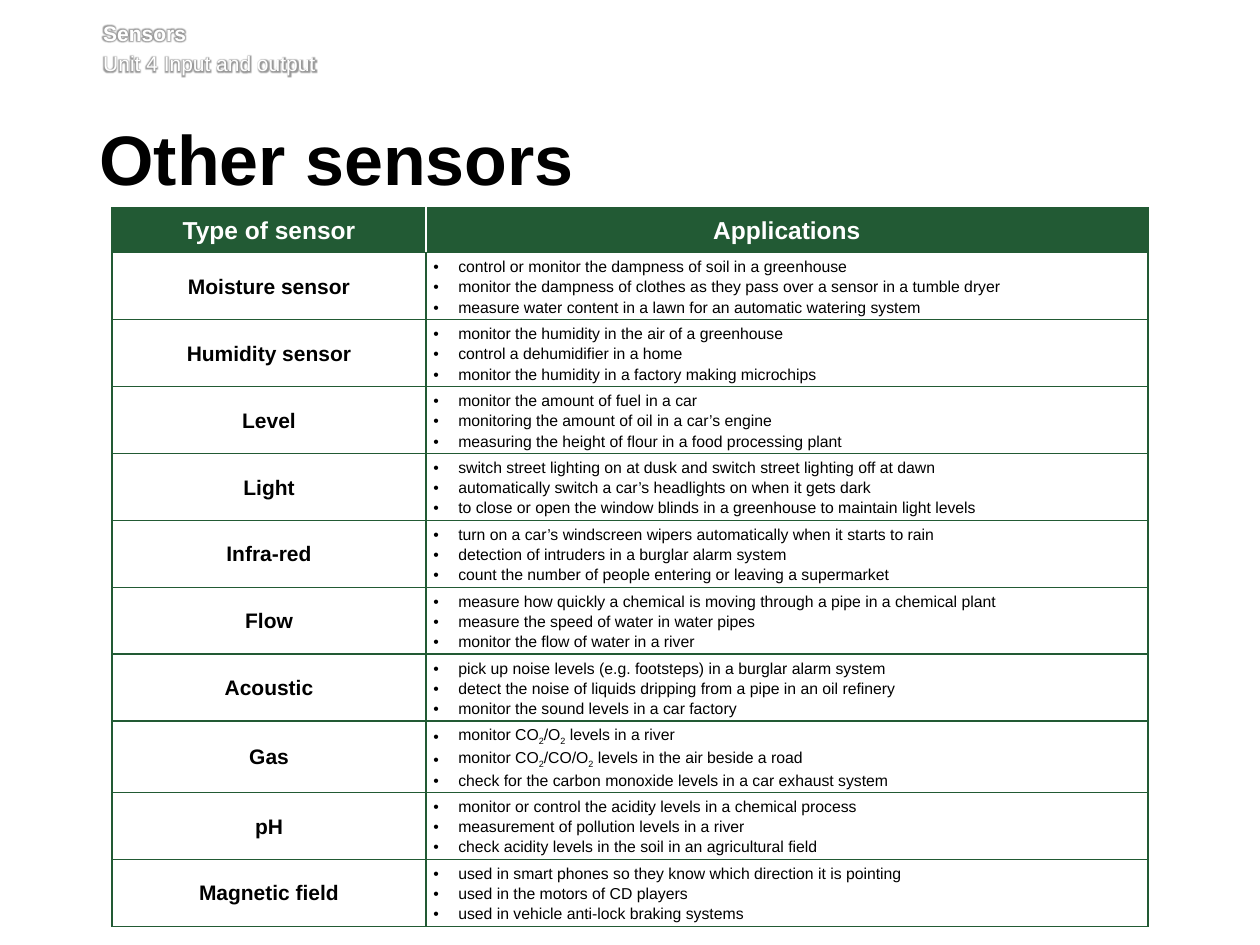
from dataclasses import dataclass
from itertools import groupby
from typing import NamedTuple

from lxml.etree import SubElement
from pptx import Presentation
from pptx.dml.color import RGBColor
from pptx.enum.text import MSO_ANCHOR as Anchor, PP_ALIGN as Align
from pptx.oxml.ns import qn
from pptx.util import Pt


@dataclass(frozen=True)
class Theme:
    font: str = "Arial"
    green: str = "225A34"
    white: str = "FFFFFF"
    black: str = "000000"
    title_size: float = 40
    heading_size: float = 14
    label_size: float = 12
    body_size: float = 9


class Box(NamedTuple):
    left: float
    top: float
    width: float
    height: float


class Style(NamedTuple):
    size: float
    color: str
    bold: bool = False
    glow: bool = False


class Sensor(NamedTuple):
    name: str
    uses: tuple[str, ...]


THEME = Theme()
UNIT_BOX = Box(59, 11.5, 635, 35.3)
TITLE_BOX = Box(56.9, 71.3, 615.6, 52.6)
TABLE_BOX = Box(64.1, 118.8, 591.9, 408.2)
COLUMN_WIDTHS = (179.3, 412.6)
HEADING_HEIGHT, ROW_HEIGHT = 25.6, 38.26
BULLET_INDENT = 14.2
SUBSCRIPT_TWO = "₂"

HEADINGS = ("Type of sensor", "Applications")
SENSORS = (
    Sensor("Moisture sensor", (
        "control or monitor the dampness of soil in a greenhouse",
        "monitor the dampness of clothes as they pass over a sensor in a tumble dryer",
        "measure water content in a lawn for an automatic watering system")),
    Sensor("Humidity sensor", (
        "monitor the humidity in the air of a greenhouse",
        "control a dehumidifier in a home",
        "monitor the humidity in a factory making microchips")),
    Sensor("Level", (
        "monitor the amount of fuel in a car",
        "monitoring the amount of oil in a car’s engine",
        "measuring the height of flour in a food processing plant")),
    Sensor("Light", (
        "switch street lighting on at dusk and switch street lighting off at dawn",
        "automatically switch a car’s headlights on when it gets dark",
        "to close or open the window blinds in a greenhouse to maintain light levels")),
    Sensor("Infra-red", (
        "turn on a car’s windscreen wipers automatically when it starts to rain",
        "detection of intruders in a burglar alarm system",
        "count the number of people entering or leaving a supermarket")),
    Sensor("Flow", (
        "measure how quickly a chemical is moving through a pipe in a chemical plant",
        "measure the speed of water in water pipes",
        "monitor the flow of water in a river")),
    Sensor("Acoustic", (
        "pick up noise levels (e.g. footsteps) in a burglar alarm system",
        "detect the noise of liquids dripping from a pipe in an oil refinery",
        "monitor the sound levels in a car factory")),
    Sensor("Gas", (
        "monitor CO₂/O₂ levels in a river",
        "monitor CO₂/CO/O₂ levels in the air beside a road",
        "check for the carbon monoxide levels in a car exhaust system")),
    Sensor("pH", (
        "monitor or control the acidity levels in a chemical process",
        "measurement of pollution levels in a river",
        "check acidity levels in the soil in an agricultural field")),
    Sensor("Magnetic field", (
        "used in smart phones so they know which direction it is pointing",
        "used in the motors of CD players",
        "used in vehicle anti-lock braking systems")),
)


def add_run(paragraph, text: str, style: Style, subscript: bool = False) -> None:
    run = paragraph.add_run()
    run.text = text
    font = run.font
    font.size, font.bold = Pt(style.size), style.bold
    font.color.rgb = RGBColor.from_string(style.color)
    properties = run._r.get_or_add_rPr()
    if style.glow:
        effects = SubElement(properties, qn("a:effectLst"))
        glow = SubElement(effects, qn("a:glow"), rad=str(Pt(4)))
        color = SubElement(glow, qn("a:srgbClr"), val=THEME.black)
        SubElement(color, qn("a:alpha"), val="40000")
    if subscript:
        properties.set("baseline", "-25000")
    font.name = THEME.font


def add_text(paragraph, text: str, style: Style) -> None:
    """Add the text run by run, lowering each subscript two."""
    for is_subscript, letters in groupby(text, lambda letter: letter == SUBSCRIPT_TWO):
        part = "".join(letters)
        add_run(paragraph, part.replace(SUBSCRIPT_TWO, "2"), style, is_subscript)


def add_bullet(paragraph) -> None:
    properties = paragraph._p.get_or_add_pPr()
    properties.set("marL", str(Pt(BULLET_INDENT)))
    properties.set("indent", str(-Pt(BULLET_INDENT)))
    SubElement(properties, qn("a:buFont"), typeface=THEME.font)
    SubElement(properties, qn("a:buChar"), char="•")


def add_text_frame(slide, box: Box, top_inset: float, right_inset: float):
    frame = slide.shapes.add_textbox(*map(Pt, box)).text_frame
    frame.word_wrap = True
    frame.margin_left, frame.margin_bottom = Pt(0), Pt(3.6)
    frame.margin_top, frame.margin_right = Pt(top_inset), Pt(right_inset)
    return frame


def format_cell(cell, fill: str | None = None, **side_colors: str) -> None:
    """Set insets, borders and fill; side_colors overrides green for L, R, T or B."""
    cell.vertical_anchor = Anchor.MIDDLE
    cell.margin_left = cell.margin_right = Pt(4.3)
    cell.margin_top = cell.margin_bottom = Pt(0)
    properties = cell._tc.get_or_add_tcPr()
    for side in "LRTB":
        line = SubElement(properties, qn(f"a:ln{side}"), w=str(Pt(1)))
        solid = SubElement(line, qn("a:solidFill"))
        SubElement(solid, qn("a:srgbClr"), val=side_colors.get(side, THEME.green))
    if fill:
        cell.fill.solid()
        cell.fill.fore_color.rgb = RGBColor.from_string(fill)
    else:
        cell.fill.background()


def write_centred(cell, text: str, style: Style) -> None:
    paragraph = cell.text_frame.paragraphs[0]
    paragraph.alignment, paragraph.line_spacing = Align.CENTER, 1.07
    add_text(paragraph, text, style)


def write_bullets(cell, lines: tuple[str, ...], style: Style) -> None:
    frame = cell.text_frame
    for index, line in enumerate(lines):
        paragraph = frame.add_paragraph() if index else frame.paragraphs[0]
        add_bullet(paragraph)
        paragraph.line_spacing = 1.15
        add_text(paragraph, line, style)


def add_sensor_table(slide) -> None:
    frame = slide.shapes.add_table(len(SENSORS) + 1, len(HEADINGS), *map(Pt, TABLE_BOX))
    table = frame.table
    table.first_row = table.horz_banding = False
    for column, width in zip(table.columns, COLUMN_WIDTHS):
        column.width = Pt(width)
    for index, row in enumerate(table.rows):
        row.height = Pt(ROW_HEIGHT if index else HEADING_HEIGHT)

    heading_style = Style(THEME.heading_size, THEME.white, bold=True)
    for index, (heading, inner_side) in enumerate(zip(HEADINGS, "RL")):
        cell = table.cell(0, index)
        format_cell(cell, THEME.green, **{inner_side: THEME.white})
        write_centred(cell, heading, heading_style)
    for index, sensor in enumerate(SENSORS, start=1):
        name_cell, uses_cell = table.cell(index, 0), table.cell(index, 1)
        format_cell(name_cell)
        format_cell(uses_cell)
        write_centred(name_cell, sensor.name, Style(THEME.label_size, THEME.black, bold=True))
        write_bullets(uses_cell, sensor.uses, Style(THEME.body_size, THEME.black))


def main() -> None:
    presentation = Presentation()
    presentation.slide_width, presentation.slide_height = Pt(720), Pt(540)
    slide = presentation.slides.add_slide(presentation.slide_layouts[6])

    unit = add_text_frame(slide, UNIT_BOX, top_inset=0, right_inset=0)
    add_text(unit.paragraphs[0], "Sensors", Style(THEME.label_size, THEME.white, True, glow=True))
    unit_line = unit.add_paragraph()
    unit_line.space_before = Pt(2.9)
    add_text(unit_line, "Unit 4 Input and output", Style(THEME.label_size, THEME.white, glow=True))

    title = add_text_frame(slide, TITLE_BOX, top_inset=3.6, right_inset=7.2).paragraphs[0]
    title.alignment, title.line_spacing = Align.JUSTIFY, Pt(39)
    add_text(title, "Other sensors", Style(THEME.title_size, THEME.black, bold=True))

    add_sensor_table(slide)
    presentation.save("out.pptx")


if __name__ == "__main__":
    main()
